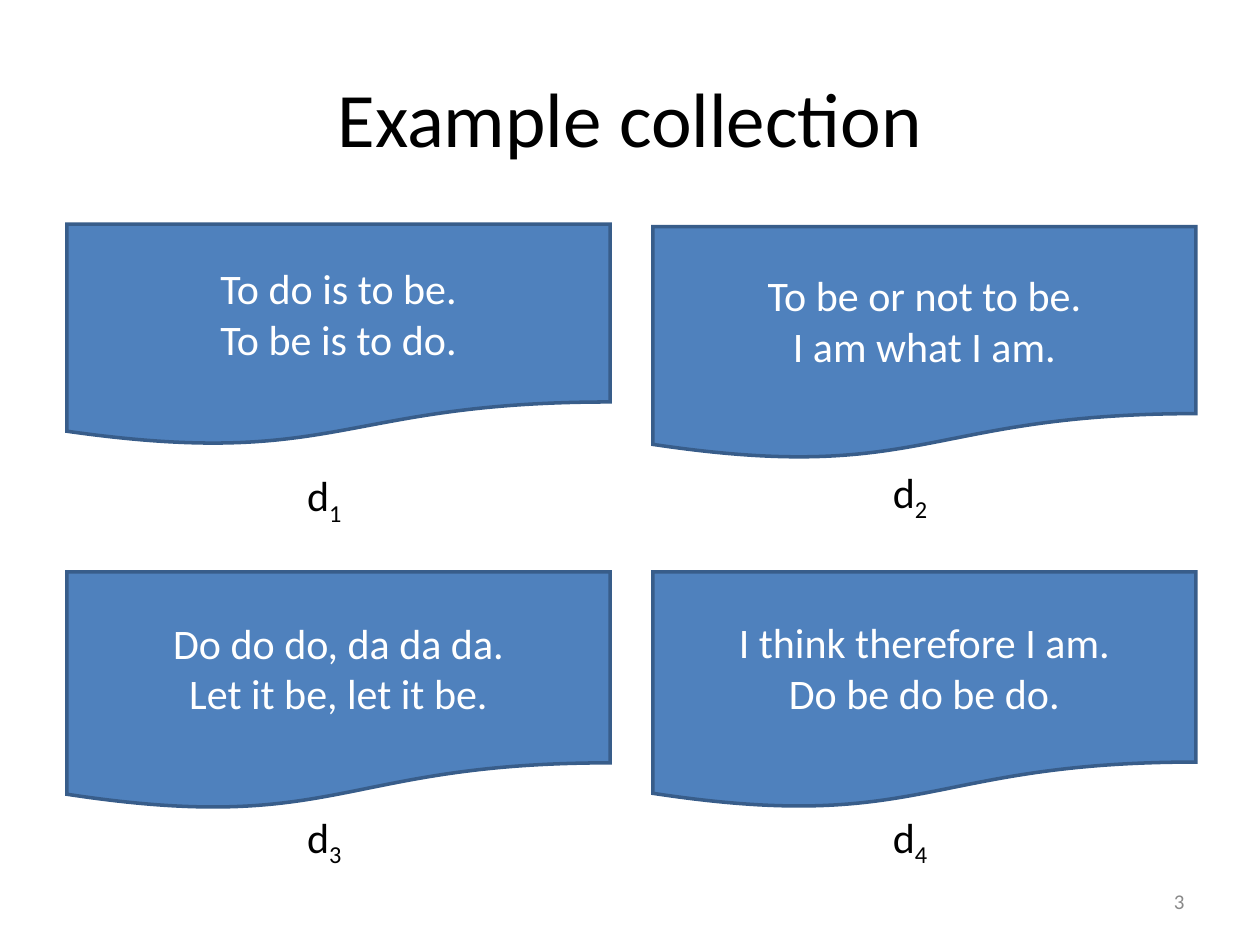
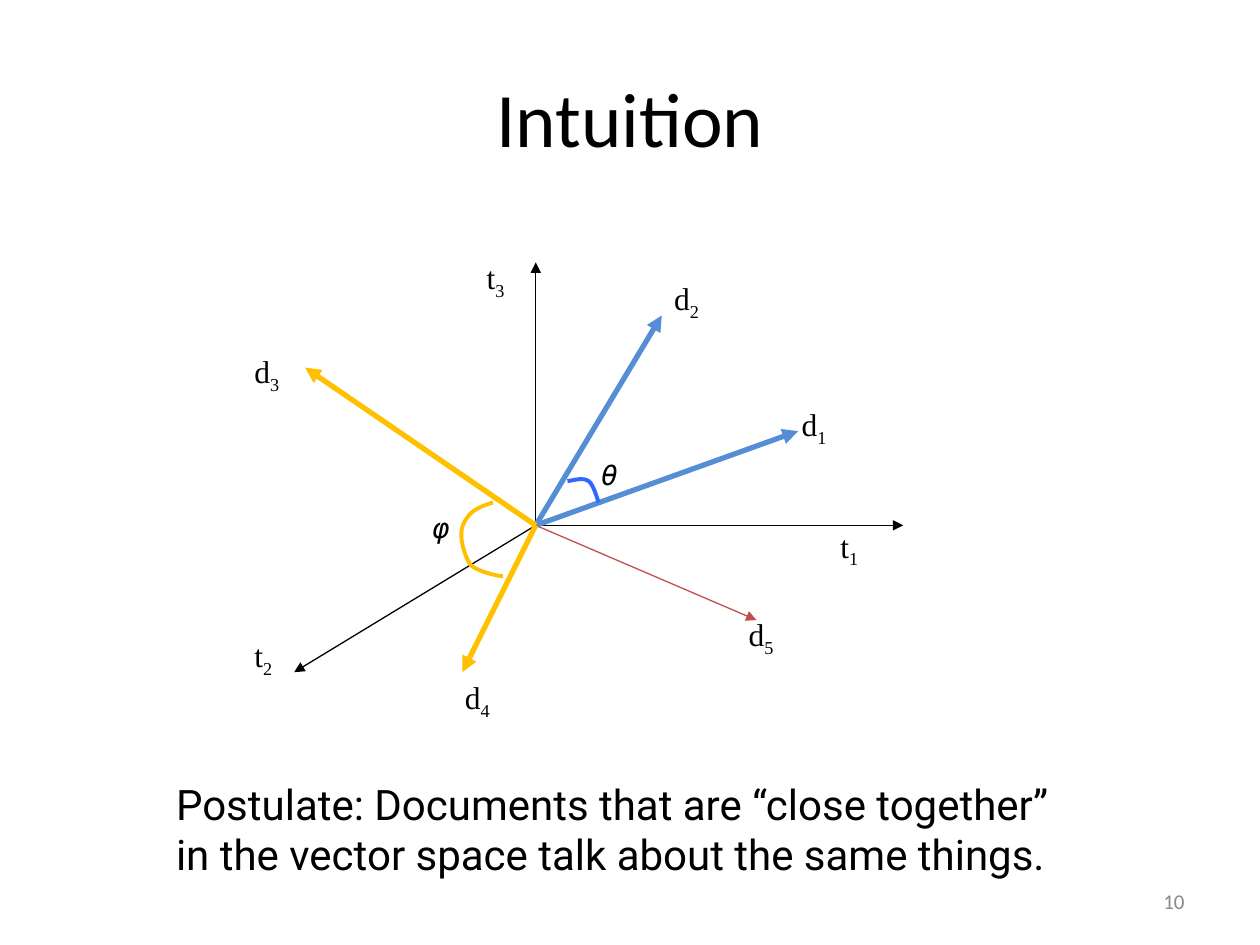
from lxml.etree import SubElement
from pptx import Presentation
from pptx.dml.color import RGBColor
from pptx.enum.shapes import MSO_CONNECTOR, MSO_SHAPE
from pptx.enum.text import MSO_ANCHOR, MSO_AUTO_SIZE, PP_ALIGN
from pptx.oxml.ns import qn
from pptx.util import Cm, Pt

BLACK, WHITE, GREY = "000000", "FFFFFF", "898989"
DOC_FILL, DOC_LINE = "4F81BD", "385D8A"
BLUE, RED, GOLD, ARC_BLUE = "558ED5", "C0504D", "FFC000", "3366FF"
SANS, SERIF, MONO, POSTULATE_FONT = "Calibri", "Times New Roman", "DejaVu Sans Mono", "Roboto"

TITLE_BOX = (1.27, 0.76, 22.86, 3.18)
NUMBER_BOX = (18.21, 17.65, 5.92, 1.02)

# text lines, left, top, height, top of the label
DOCUMENTS = [
    (["To do is to be.", "To be is to do."], 1.35, 4.52, 4.47, 9.35),
    (["To be or not to be.", "I am what I am."], 13.16, 4.57, 4.7, 9.27),
    (["Do do do, da da da.", "Let it be, let it be."], 1.35, 11.53, 4.8, 16.23),
    (["I think therefore I am.", "Do be do be do."], 13.16, 11.53, 4.78, 16.23),
]
DOC_WIDTH = 10.95

# letter, index, arrow tip, label corner (both from the origin), label width, colour, line width
VECTORS = [
    ("t", 1, (7.41, 0), (5.89, -0.1), 0.86, BLACK, 0.75),
    ("t", 3, (0, -5.3), (-1.24, -5.51), 0.86, BLACK, 0.75),
    ("t", 2, (-4.87, 2.96), (-5.92, 2.11), 0.86, BLACK, 0.75),
    ("d", 1, (5.29, -1.9), (5.11, -2.54), 1.02, BLUE, 3),
    ("d", 5, (4.45, 1.91), (4.04, 1.68), 1.02, RED, 0.75),
    ("d", 2, (2.54, -4.23), (2.54, -5.08), 1.3, BLUE, 3),
    ("d", 4, (-1.48, 2.96), (-1.68, 2.95), 1.02, GOLD, 3),
    ("d", 3, (-4.65, -3.18), (-5.92, -3.61), 1.02, GOLD, 3),
]

# symbol, label corner, colour, Bézier points (from the origin)
ANGLES = [
    ("θ", (1.07, -1.5), ARC_BLUE,
     [(0.64, -0.89), (0.79, -0.91), (0.94, -0.97), (1.07, -0.89),
      (1.17, -0.81), (1.24, -0.53), (1.27, -0.46)]),
    ("φ", (-2.34, -0.43), GOLD,
     [(-0.86, -0.46), (-1.02, -0.41), (-1.17, -0.36), (-1.3, -0.25),
      (-1.4, -0.15), (-1.5, 0), (-1.5, 0.18),
      (-1.5, 0.36), (-1.42, 0.66), (-1.3, 0.81),
      (-1.14, 0.94), (-0.71, 1.04), (-0.66, 1.02)]),
]


def cm(*lengths):
    return [Cm(length) for length in lengths]


def rgb(color):
    return RGBColor.from_string(color)


def add_run(paragraph, text, size, font=SANS, color=BLACK, italic=False):
    run = paragraph.add_run()
    run.text = text
    run.font.size = Pt(size)
    run.font.name = font
    run.font.color.rgb = rgb(color)
    if italic:
        run.font.italic = True
    return run


def write_lines(frame, lines, align, *style):
    for i, line in enumerate(lines):
        paragraph = frame.add_paragraph() if i else frame.paragraphs[0]
        paragraph.alignment = align
        add_run(paragraph, line, *style)


def add_text_frame(shapes, box, wrap=False):
    frame = shapes.add_textbox(*cm(*box)).text_frame
    frame.word_wrap = wrap
    frame.auto_size = MSO_AUTO_SIZE.SHAPE_TO_FIT_TEXT
    return frame


def add_indexed_label(shapes, box, letter, index, size, font):
    """Write a letter followed by its subscript."""
    paragraph = add_text_frame(shapes, box).paragraphs[0]
    add_run(paragraph, letter, size, font)
    subscript = add_run(paragraph, str(index), size, font)
    subscript.font._element.set("baseline", "-25000")


def add_titled_slide(prs, title, number):
    slide = prs.slides.add_slide(prs.slide_layouts[5])
    heading = slide.shapes.title
    heading.left, heading.top, heading.width, heading.height = cm(*TITLE_BOX)
    heading.text_frame.vertical_anchor = MSO_ANCHOR.MIDDLE
    write_lines(heading.text_frame, [title], PP_ALIGN.CENTER, 44)

    footer = slide.shapes.add_textbox(*cm(*NUMBER_BOX)).text_frame
    footer.word_wrap = True
    footer.vertical_anchor = MSO_ANCHOR.MIDDLE
    write_lines(footer, [str(number)], PP_ALIGN.RIGHT, 12, SANS, GREY)
    return slide


def add_document(slide, box, lines, index, label_top):
    page = slide.shapes.add_shape(MSO_SHAPE.FLOWCHART_DOCUMENT, *cm(*box))
    page.shadow.inherit = False
    page.fill.solid()
    page.fill.fore_color.rgb = rgb(DOC_FILL)
    page.line.color.rgb = rgb(DOC_LINE)
    page.line.width = Pt(2)
    SubElement(page._element.spPr.find(qn("a:ln")), qn("a:miter"), lim="800000")
    page.text_frame.word_wrap = True
    page.text_frame.vertical_anchor = MSO_ANCHOR.MIDDLE
    write_lines(page.text_frame, lines, PP_ALIGN.CENTER, 24, SANS, WHITE)
    add_indexed_label(slide.shapes, (box[0] + 4.59, label_top, 1.2, 1.42), "d", index, 24, SANS)


def add_arrow(shapes, start, end, color, width):
    arrow = shapes.add_connector(MSO_CONNECTOR.STRAIGHT, *cm(*start, *end))
    arrow.line.color.rgb = rgb(color)
    arrow.line.width = Pt(width)
    properties = arrow._element.spPr
    SubElement(properties.find(qn("a:ln")), qn("a:tailEnd"), type="triangle")
    SubElement(properties, qn("a:effectLst"))


def bezier_points(controls, steps=12):
    """Sample a chain of cubic Bézier curves that share their end points."""
    points = [controls[0]]
    for first in range(0, len(controls) - 1, 3):
        curve = controls[first:first + 4]
        for step in range(1, steps + 1):
            t = step / steps
            weights = ((1 - t) ** 3, 3 * t * (1 - t) ** 2, 3 * t ** 2 * (1 - t), t ** 3)
            points.append(tuple(sum(w * p[axis] for w, p in zip(weights, curve))
                                for axis in (0, 1)))
    return points


def add_arc(shapes, controls, color):
    start, *others = [cm(*point) for point in bezier_points(controls)]
    builder = shapes.build_freeform(*start)
    builder.add_line_segments(others, close=False)
    arc = builder.convert_to_shape()
    arc.shadow.inherit = False
    arc.fill.background()
    arc.line.color.rgb = rgb(color)
    arc.line.width = Pt(2.25)


def add_vector_space(slide, left, top):
    shapes = slide.shapes
    origin = (left + 5.92, top + 5.51)

    def place(offset):
        return origin[0] + offset[0], origin[1] + offset[1]

    for *_, tip, _, _, color, width in VECTORS:
        add_arrow(shapes, origin, place(tip), color, width)
    for letter, index, _, corner, width, *_ in VECTORS:
        add_indexed_label(shapes, (*place(corner), width, 1.12), letter, index, 18, SERIF)
    for symbol, corner, color, controls in ANGLES:
        add_arc(shapes, [place(point) for point in controls], color)
        frame = add_text_frame(shapes, (*place(corner), 0.76, 0.94), wrap=True)
        add_run(frame.paragraphs[0], symbol, 16, MONO, italic=True)


def add_postulate(slide, box):
    lines = ["Postulate: Documents that are “close together”",
             "in the vector space talk about the same things."]
    write_lines(add_text_frame(slide.shapes, box), lines, PP_ALIGN.LEFT, 24, POSTULATE_FONT)


def main():
    prs = Presentation()
    prs.slide_width, prs.slide_height = cm(25.4, 19.05)

    collection = add_titled_slide(prs, "Example collection", 3)
    for index, (lines, left, top, height, label_top) in enumerate(DOCUMENTS, 1):
        add_document(collection, (left, top, DOC_WIDTH, height), lines, index, label_top)

    intuition = add_titled_slide(prs, "Intuition", 10)
    add_postulate(intuition, (3.3, 15.57, 19.35, 2.29))
    add_vector_space(intuition, 4.88, 5.08)

    prs.save("out.pptx")


if __name__ == "__main__":
    main()
